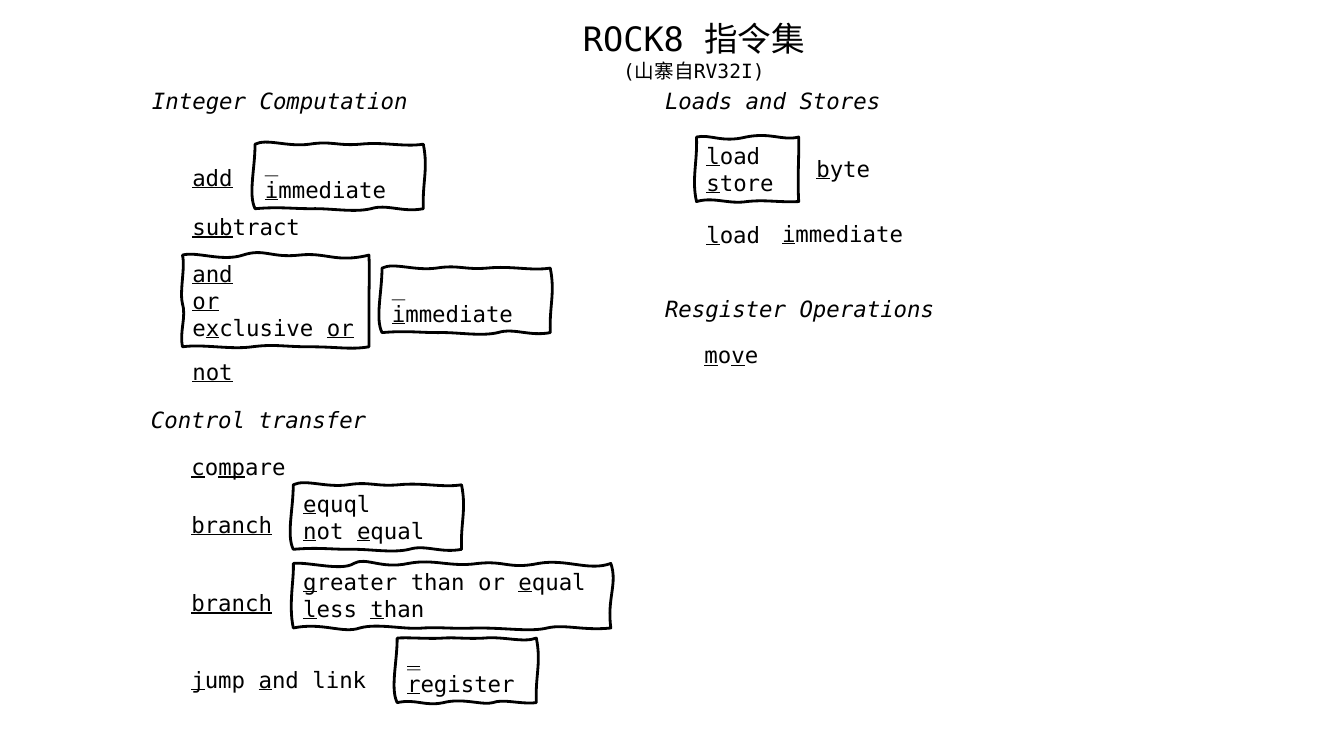
"""Build the ROCK8 instruction set slide with hand-drawn operand frames."""
from dataclasses import dataclass

from lxml import etree
from pptx import Presentation
from pptx.dml.color import RGBColor
from pptx.enum import text as t
from pptx.oxml.ns import qn
from pptx.util import Pt

INK = RGBColor(0x00, 0x00, 0x00)
FONT = "DejaVu Sans Mono"
BODY_SIZE = 16
LABEL_HEIGHT = 26.6

Point = tuple[float, float]
Outline = tuple[tuple[Point, Point, Point], ...]

MEDIUM_OUTLINE: Outline = (
    ((8.6, -4.3), (23, 2.2), (38.9, 0)),
    ((54.7, -2.5), (58.7, 1.4), (75.2, 0)),
    ((92.2, -1.8), (106.6, 2.2), (120.2, 0)),
    ((123.8, 18), (119.5, 26.6), (120.2, 46.1)),
    ((105.1, 49), (94.3, 42.5), (82.8, 46.1)),
    ((70.6, 49), (54, 45.7), (40.3, 46.1)),
    ((25.9, 46.1), (17.3, 44.6), (0, 46.1)),
    ((-5, 36), (0, 17.3), (0, 0)),
)
TALL_OUTLINE: Outline = (
    ((10.1, -2.9), (28.1, 5), (43.2, 0)),
    ((58.3, -5), (63.4, 2.2), (83.5, 0)),
    ((103, -2.2), (109.4, 5.8), (133.2, 0)),
    ((133.9, 13), (133.2, 24.5), (133.2, 32.4)),
    ((133.2, 39.6), (133.2, 49.7), (133.2, 65.5)),
    ((120.2, 67.7), (110.9, 65.5), (91.4, 65.5)),
    ((72, 65.5), (66.2, 63.4), (49.7, 65.5)),
    ((33.8, 67.7), (15.1, 63.4), (0, 65.5)),
    ((-2.2, 54.7), (2.9, 43.9), (0, 34.6)),
    ((-2.2, 25.9), (2.2, 8.6), (0, 0)),
)
LONG_OUTLINE: Outline = (
    ((10.1, -1.4), (34.6, 5.8), (43.2, 0)),
    ((51.8, -5), (62.6, 4.3), (82.1, 0)),
    ((100.8, -3.6), (111.6, 2.9), (131.8, 0)),
    ((151.2, -2.2), (154.1, 4.3), (175, 0)),
    ((195.1, -3.6), (211, 5.8), (226.8, 0)),
    ((231.8, 14.4), (223.9, 25.2), (226.8, 46.1)),
    ((207.4, 48.2), (193.7, 43.2), (181.4, 46.1)),
    ((169.2, 49), (154.1, 46.1), (131.8, 46.1)),
    ((108.7, 46.8), (107.3, 45.4), (92.9, 46.1)),
    ((79.2, 47.5), (60.5, 42.5), (47.5, 46.1)),
    ((35.3, 50.4), (20.9, 41.8), (0, 46.1)),
    ((-3.6, 29.5), (0.7, 10.8), (0, 0)),
)
REGISTER_OUTLINE: Outline = (
    ((6.5, -0.7), (22.3, 0.7), (32.4, 0)),
    ((41.8, -0.7), (48.2, 0.7), (61.9, 0)),
    ((76.3, -1.4), (90, 3.6), (99.4, 0)),
    ((103, 18), (98.6, 26.6), (99.4, 46.1)),
    ((88.6, 47.5), (75.6, 43.2), (68.4, 46.1)),
    ((61.2, 48.2), (46.8, 42.5), (33.1, 46.1)),
    ((19.4, 49), (13.7, 43.2), (0, 46.1)),
    ((-5, 36), (0, 17.3), (0, 0)),
)
SMALL_OUTLINE: Outline = (
    ((10.1, -2.2), (18, 4.3), (35.3, 0)),
    ((53.3, -3.6), (61.2, 2.9), (73, 0)),
    ((73.4, 14.4), (72, 28.1), (73, 46.1)),
    ((57.6, 46.8), (49.7, 44.6), (36, 46.1)),
    ((23, 48.2), (12.2, 42.5), (0, 46.1)),
    ((-3.6, 30.2), (0.7, 18), (0, 0)),
)


@dataclass(frozen=True)
class Label:
    """Line of text; the parts after odd bars are underlined."""
    left: float
    top: float
    width: float
    markup: str
    italic: bool = False


@dataclass(frozen=True)
class Frame:
    """Hand-drawn frame around alternative operands."""
    left: float
    top: float
    outline: Outline
    lines: tuple[str, ...]


LABELS = (
    Label(101.5, 59, 213, "Integer Computation", True),
    Label(130.3, 113.8, 44, "|add"),
    Label(130.3, 149, 120, "|sub|tract"),
    Label(130.3, 252, 120, "|not"),
    Label(100.8, 286.6, 213, "Control transfer", True),
    Label(129.6, 320.4, 95, "|c|o|mp|are"),
    Label(129.6, 361.4, 74.2, "|branch"),
    Label(129.6, 417.6, 74.2, "|branch"),
    Label(129.6, 472.3, 143.3, "|j|ump |a|nd link"),
    Label(468, 59, 213, "Loads and Stores", True),
    Label(576, 107.3, 65.5, "|b|yte"),
    Label(497.5, 154.1, 64, "|l|oad"),
    Label(551.5, 153.4, 106.6, "|i|mmediate"),
    Label(468, 207.4, 213, "Resgister Operations", True),
    Label(496.1, 240.5, 55.4, "|m|o|v|e"),
)

FRAMES = (
    Frame(182.2, 103, MEDIUM_OUTLINE, ("_", "|i|mmediate")),
    Frame(130.3, 182.2, TALL_OUTLINE, ("|and", "|or", "e|x|clusive |or")),
    Frame(272.9, 191.5, MEDIUM_OUTLINE, ("_", "|i|mmediate")),
    Frame(209.5, 346.3, MEDIUM_OUTLINE, ("|e|quql", "|n|ot |e|qual")),
    Frame(209.5, 402.5, LONG_OUTLINE, ("|g|reater than or |e|qual", "|l|ess |t|han")),
    Frame(283.7, 455.8, REGISTER_OUTLINE, ("|_", "|r|egister")),
    Frame(497.5, 97.9, SMALL_OUTLINE, ("|l|oad", "|s|tore")),
)


def write_lines(body, lines: tuple[str, ...], sizes: tuple[int, ...],
                align=t.PP_ALIGN.LEFT, italic: bool = False) -> None:
    """Fill a text frame, underlining the marked parts."""
    body.word_wrap = True
    body.auto_size = t.MSO_AUTO_SIZE.SHAPE_TO_FIT_TEXT
    body.vertical_anchor = t.MSO_ANCHOR.TOP
    body.text = "\n" * (len(lines) - 1)
    for paragraph, line, size in zip(body.paragraphs, lines, sizes):
        paragraph.alignment = align
        for index, part in enumerate(line.split("|")):
            if part:
                run = paragraph.add_run()
                run.text = part
                run.font.name = FONT
                run.font.size = Pt(size)
                run.font.color.rgb = INK
                run.font.italic = italic
                run.font.underline = index % 2 == 1


def draw_label(slide, label: Label) -> None:
    """Draw one line of text."""
    box = slide.shapes.add_textbox(
        Pt(label.left), Pt(label.top), Pt(label.width), Pt(LABEL_HEIGHT))
    write_lines(box.text_frame, (label.markup,), (BODY_SIZE,), italic=label.italic)


def draw_frame(slide, frame: Frame) -> None:
    """Draw a curved outline with its operands."""
    builder = slide.shapes.build_freeform(0, 0)
    builder.add_line_segments([(Pt(x), Pt(y)) for _, _, (x, y) in frame.outline])
    outline = builder.convert_to_shape(Pt(frame.left), Pt(frame.top))
    segments = list(outline.element.iter(qn("a:lnTo")))
    for segment, curve in zip(segments, frame.outline):
        bezier = etree.Element(qn("a:cubicBezTo"))
        for x, y in curve:
            etree.SubElement(bezier, qn("a:pt"), x=str(Pt(x)), y=str(Pt(y)))
        segment.getparent().replace(segment, bezier)
    outline.shadow.inherit = False
    outline.fill.background()
    outline.line.color.rgb = INK
    outline.line.width = Pt(2)
    write_lines(outline.text_frame, frame.lines, (BODY_SIZE,) * len(frame.lines))


def main() -> None:
    """Build and save the slide."""
    deck = Presentation()
    deck.slide_width, deck.slide_height = Pt(960), Pt(540)
    slide = deck.slides.add_slide(deck.slide_layouts[6])
    title = slide.shapes.add_textbox(Pt(303.8), Pt(9.4), Pt(383.8), Pt(53.3))
    write_lines(title.text_frame, ("ROCK8 指令集", "(山寨自RV32I)"), (24, 14),
                t.PP_ALIGN.CENTER)
    for label in LABELS:
        draw_label(slide, label)
    for frame in FRAMES:
        draw_frame(slide, frame)
    deck.save("out.pptx")


if __name__ == "__main__":
    main()
